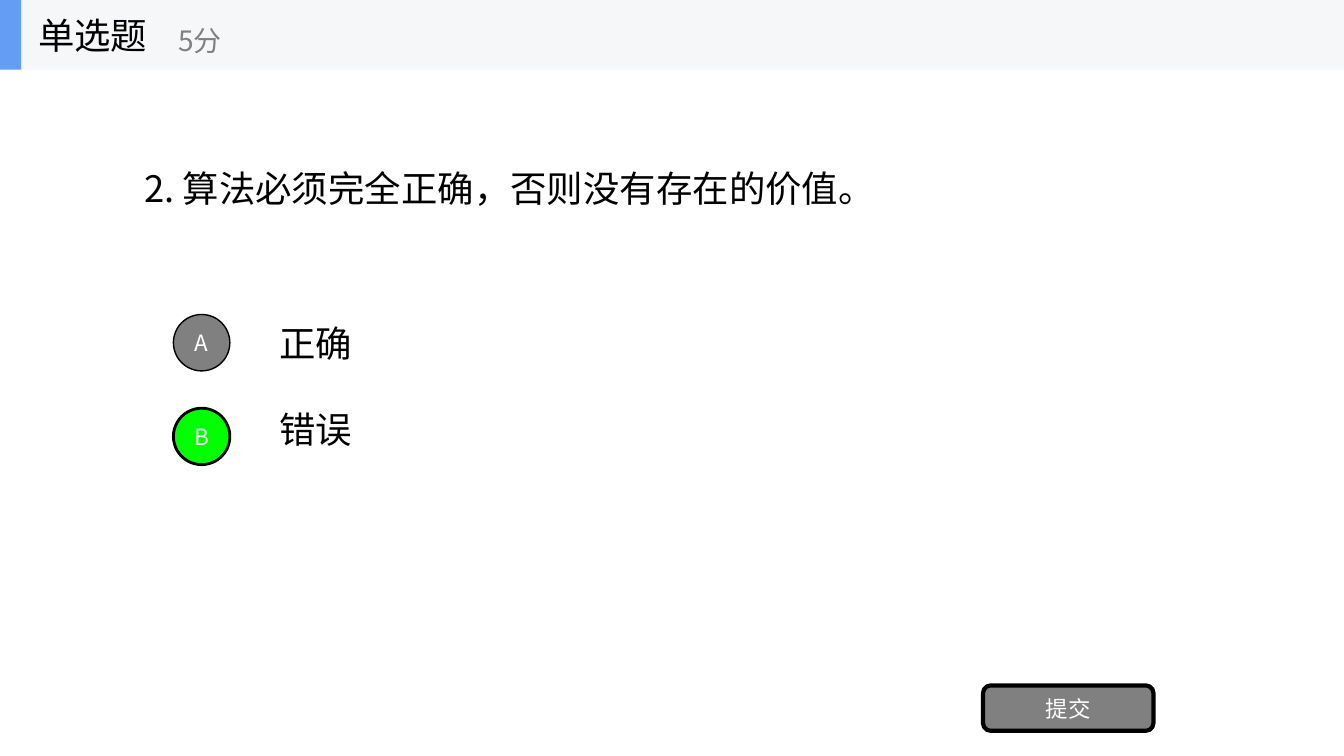
from dataclasses import dataclass

from lxml import etree
from pptx import Presentation
from pptx.dml.color import RGBColor
from pptx.enum import shapes, text
from pptx.oxml import ns
from pptx.util import Inches, Pt


@dataclass(frozen=True)
class Theme:
    font: str = "Noto Sans CJK SC"
    black: str = "000000"
    white: str = "FFFFFF"
    gray: str = "808080"
    green: str = "00FF00"
    band: str = "F6F7F8"
    blue: str = "639EF4"
    large: int = 26
    points: int = 20
    small: int = 16


THEME = Theme()
KIND = shapes.MSO_SHAPE
ALIGN = text.PP_ALIGN


def write(shape, words, size, color, align=ALIGN.LEFT):
    frame = shape.text_frame
    frame.text = words
    frame.word_wrap = True
    frame.auto_size = text.MSO_AUTO_SIZE.NONE
    frame.vertical_anchor = text.MSO_ANCHOR.MIDDLE
    para = frame.paragraphs[0]
    para.alignment = align
    for run in para.runs:
        font = run.font
        font.name = THEME.font
        font.size = Pt(size)
        font.color.rgb = RGBColor.from_string(color)
        # East Asian glyphs take their typeface from a:ea
        east = etree.SubElement(run._r.get_or_add_rPr(), ns.qn("a:ea"))
        east.set("typeface", THEME.font)


def label(parent, box, words, size=THEME.large, color=THEME.black):
    write(parent.add_textbox(*map(Inches, box)), words, size, color)


def block(parent, kind, box, fill, line=0):
    """Add a filled shape, outlined in black when line is above zero."""
    shape = parent.add_shape(kind, *map(Inches, box))
    shape.shadow.inherit = False
    shape.fill.solid()
    shape.fill.fore_color.rgb = RGBColor.from_string(fill)
    if line:
        shape.line.color.rgb = RGBColor.from_string(THEME.black)
        shape.line.width = Pt(line)
    else:
        shape.line.fill.background()
    return shape


def button(parent, kind, box, fill, line, words):
    shape = block(parent, kind, box, fill, line)
    frame = shape.text_frame
    frame.margin_left = frame.margin_right = 0
    frame.margin_top = frame.margin_bottom = 0
    write(shape, words, THEME.small, THEME.white, ALIGN.CENTER)


def header(slide):
    parts = slide.shapes.add_group_shape().shapes
    block(parts, KIND.RECTANGLE, (0, 0, 13.33, 0.69), THEME.band)
    block(parts, KIND.RECTANGLE, (0, 0, 0.21, 0.69), THEME.blue)
    label(parts, (0.28, 0, 2.08, 0.69), "单选题")
    label(parts, (1.67, 0.12, 2.5, 0.56), "5分", THEME.points, THEME.gray)


def question(slide, words):
    title = slide.shapes.title
    title.left, title.top = Inches(1.33), Inches(0.69)
    title.width, title.height = Inches(10.67), Inches(2.34)
    write(title, words, THEME.large, THEME.black)


def options(slide):
    choices = [("A", "正确", THEME.gray, 1), ("B", "错误", THEME.green, 2)]
    for row, (letter, answer, fill, line) in enumerate(choices):
        label(slide.shapes, (2.67, 3.05 + 0.86 * row, 9.33, 0.7), answer)
        button(slide.shapes, KIND.OVAL, (1.72, 3.12 + 0.93 * row, 0.56, 0.56),
               fill, line, letter)


def main():
    deck = Presentation()
    deck.slide_width, deck.slide_height = Inches(13.33), Inches(7.5)
    slide = deck.slides.add_slide(deck.slide_layouts.get_by_name("Title Only"))
    question(slide, "2. 算法必须完全正确，否则没有存在的价值。")
    options(slide)
    button(slide.shapes, KIND.ROUNDED_RECTANGLE, (9.75, 6.8, 1.69, 0.45),
           THEME.gray, 3, "提交")
    header(slide)
    deck.save("out.pptx")


if __name__ == "__main__":
    main()
